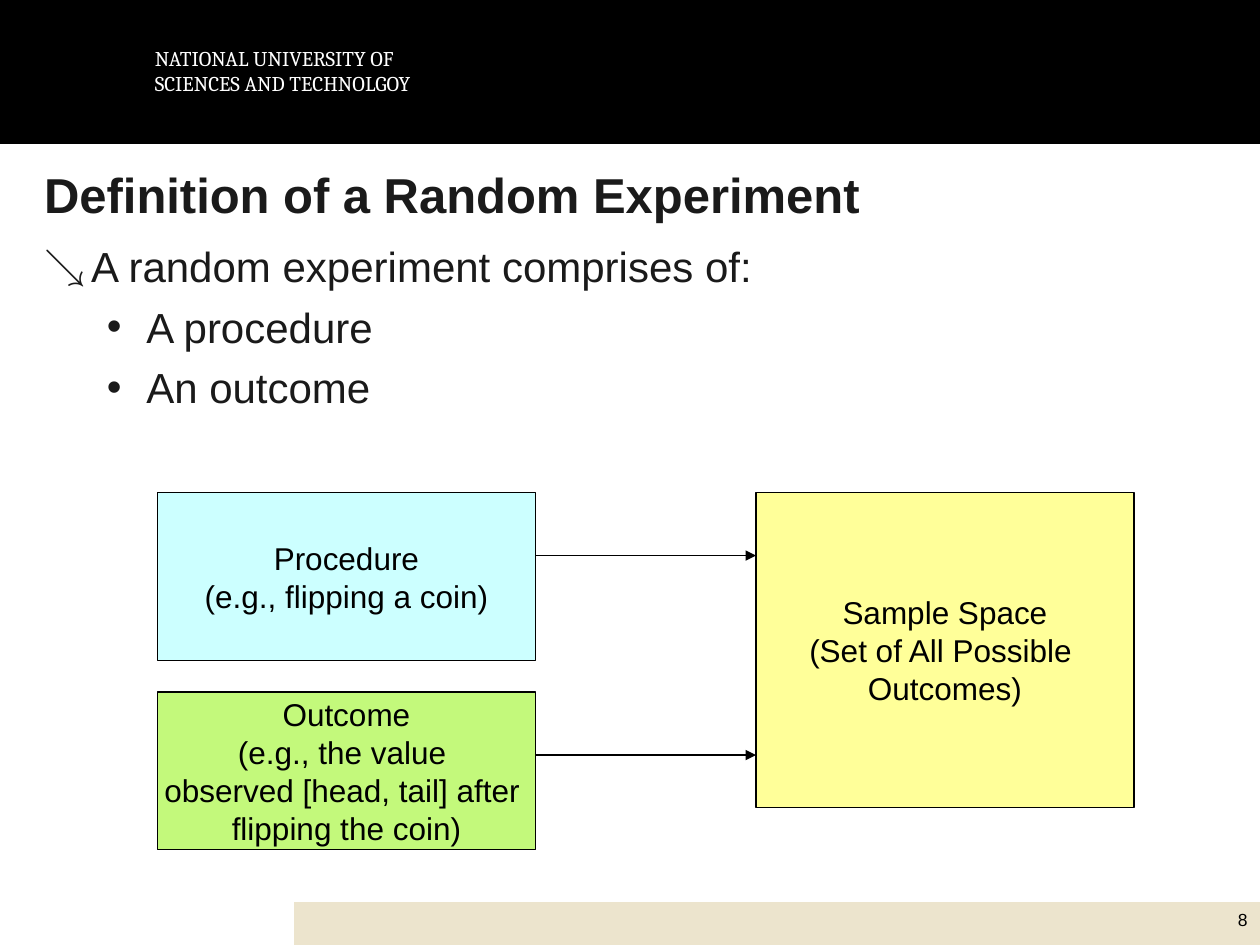
import lxml.etree
import pptx
import pptx.dml.color
import pptx.enum.shapes
import pptx.enum.text
import pptx.oxml.ns
import pptx.util

Pt = pptx.util.Pt
qn = pptx.oxml.ns.qn
ALIGN = pptx.enum.text.PP_ALIGN
ANCHOR = pptx.enum.text.MSO_ANCHOR
RECTANGLE = pptx.enum.shapes.MSO_SHAPE.RECTANGLE

THEME = {
    "font": "Arial", "header font": "Cambria",
    "ink": "1A1A1A", "black": "000000", "white": "FFFFFF", "sand": "ECE4CD",
    "procedure": "CCFFFF", "outcome": "C3F97B", "sample space": "FFFF99",
    "title size": 28, "body size": 24, "box size": 18, "header size": 12, "number size": 10,
}


def add_rectangle(left, top, width, height, fill, line_width=0):
    shape = slide.shapes.add_shape(RECTANGLE, Pt(left), Pt(top), Pt(width), Pt(height))
    shape.shadow.inherit = False
    shape.fill.solid()
    shape.fill.fore_color.rgb = pptx.dml.color.RGBColor.from_string(THEME[fill])
    if line_width:
        shape.line.color.rgb = pptx.dml.color.RGBColor.from_string(THEME["black"])
        shape.line.width = Pt(line_width)
    else:
        shape.line.fill.background()
    return shape


def write_text(shape, text, size, color, align=ALIGN.LEFT, font="font", bold=False, wrap=True):
    text_frame = shape.text_frame
    text_frame.text = text
    text_frame.word_wrap = wrap
    for paragraph in text_frame.paragraphs:
        paragraph.alignment = align
        for run in paragraph.runs:
            run.font.name = THEME[font]
            run.font.size = Pt(THEME[size])
            run.font.bold = bold
            run.font.color.rgb = pptx.dml.color.RGBColor.from_string(THEME[color])


presentation = pptx.Presentation()
presentation.slide_width, presentation.slide_height = Pt(720), Pt(540)
slide = presentation.slides.add_slide(presentation.slide_layouts[5])

# Header band and footer strip
add_rectangle(0, 0, 720, 81.5, "black", 2)
add_rectangle(168, 515.5, 552, 24.5, "sand")
header = slide.shapes.add_textbox(Pt(81.4), Pt(22.3), Pt(190), Pt(36))
write_text(header, "NATIONAL UNIVERSITY OF\nSCIENCES AND TECHNOLGOY",
           "header size", "white", font="header font", wrap=False)

# Title
title = slide.shapes.title
title.left, title.top, title.width, title.height = Pt(18), Pt(81.4), Pt(684), Pt(58.3)
write_text(title, "Definition of a Random Experiment", "title size", "ink", bold=True)
title.text_frame.vertical_anchor = ANCHOR.MIDDLE

# Bulleted text: bullet, left margin, hanging indent
body = slide.shapes.add_textbox(Pt(18), Pt(134), Pt(648.7), Pt(377))
write_text(body, "A random experiment comprises of:\nA procedure\nAn outcome", "body size", "ink")
levels = [("↘", 27, 27), ("•", 58.5, 22.5), ("•", 58.5, 22.5)]
for index, (paragraph, (bullet, margin, hanging)) in enumerate(zip(body.text_frame.paragraphs, levels)):
    properties = paragraph._p.get_or_add_pPr()
    properties.set("marL", str(Pt(margin)))
    properties.set("indent", str(-Pt(hanging)))
    lxml.etree.SubElement(properties, qn("a:buFont"), typeface=THEME["font"])
    lxml.etree.SubElement(properties, qn("a:buChar"), char=bullet)
    if index:
        paragraph.level = 1
        paragraph.space_before = Pt(5.8)

# Diagram boxes
box_width, left_column, right_column, top_row = 216, 90, 432, 281.5
boxes = [
    (left_column, top_row, 96, "procedure", "Procedure\n(e.g., flipping a coin)"),
    (left_column, 395.5, 90, "outcome",
     "Outcome\n(e.g., the value \nobserved [head, tail] after \nflipping the coin)"),
    (right_column, top_row, 180, "sample space",
     "Sample Space\n(Set of All Possible \nOutcomes)"),
]
for left, top, height, fill, text in boxes:
    box = add_rectangle(left, top, box_width, height, fill, 0.75)
    write_text(box, text, "box size", "black", ALIGN.CENTER, wrap=False)
    box.text_frame.vertical_anchor = ANCHOR.MIDDLE

# Arrows, each 36 pt below the top of its left box
for left, top, *_ in boxes[:2]:
    arrow = slide.shapes.add_connector(
        pptx.enum.shapes.MSO_CONNECTOR.STRAIGHT,
        Pt(left + box_width), Pt(top + 36), Pt(right_column), Pt(top + 36))
    arrow.line.color.rgb = pptx.dml.color.RGBColor.from_string(THEME["black"])
    arrow.line.width = Pt(0.75)
    lxml.etree.SubElement(arrow.line._get_or_add_ln(), qn("a:tailEnd"), type="triangle")
    lxml.etree.SubElement(arrow._element.spPr, qn("a:effectLst"))

# Slide number
number = slide.shapes.add_textbox(Pt(570), Pt(516), Pt(150), Pt(24))
write_text(number, "8", "number size", "black", ALIGN.RIGHT)

presentation.save("out.pptx")
